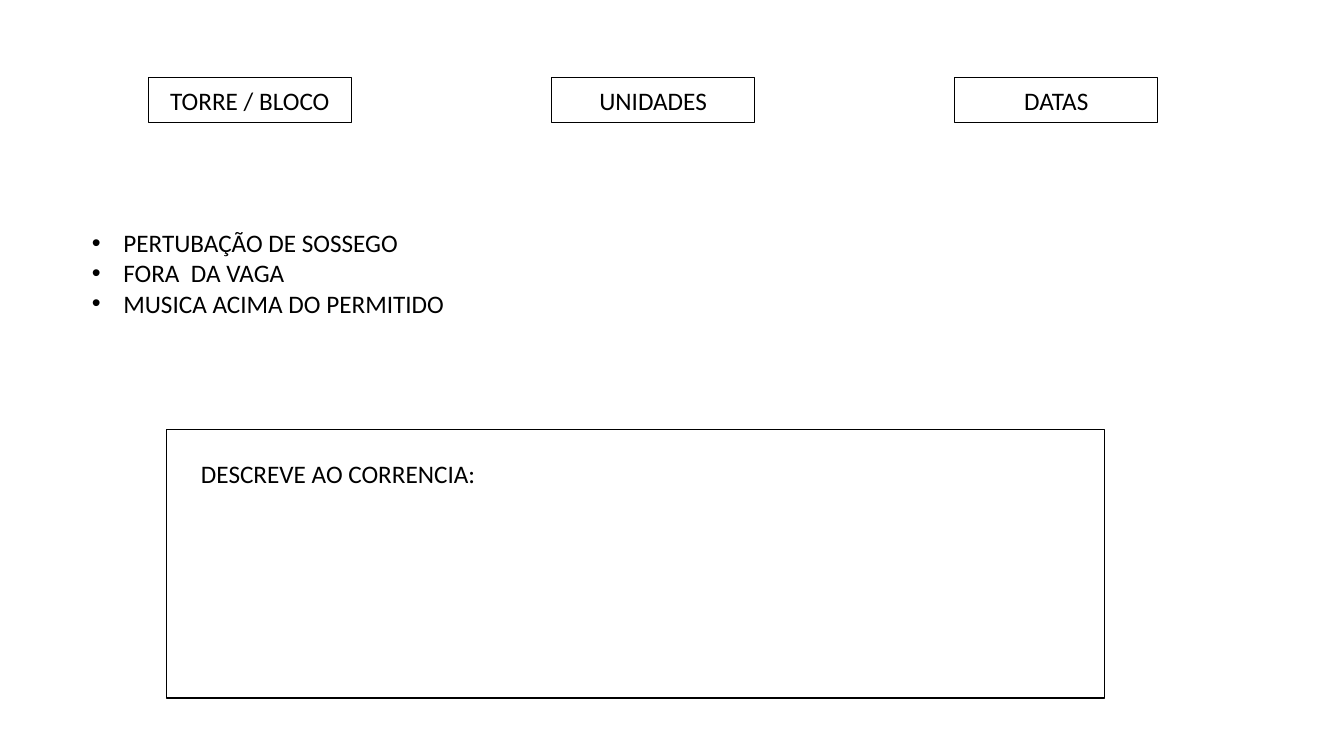
from dataclasses import dataclass

from lxml.etree import SubElement
from pptx import Presentation
from pptx.dml.color import RGBColor
from pptx.enum.shapes import MSO_SHAPE as SHAPE
from pptx.enum.text import MSO_ANCHOR as ANCHOR, MSO_AUTO_SIZE as AUTO, PP_ALIGN as ALIGN
from pptx.oxml.ns import qn
from pptx.util import Pt


@dataclass(frozen=True)
class Theme:
    font: str = "Calibri"
    size: float = 18
    ink: RGBColor = RGBColor(0, 0, 0)
    paper: RGBColor = RGBColor(255, 255, 255)
    line: float = 1
    indent: float = 22.5


class Form:
    def __init__(self, slide, theme):
        self.s = slide
        self.theme = theme

    def style(self, p):
        for r in p.runs:
            r.font.name = self.theme.font
            r.font.size = Pt(self.theme.size)
            r.font.color.rgb = self.theme.ink

    def box(self, x, y, w, h, text=""):
        sp = self.s.shapes.add_shape(SHAPE.RECTANGLE, Pt(x), Pt(y), Pt(w), Pt(h))
        sp.shadow.inherit = False
        sp.fill.solid()
        sp.fill.fore_color.rgb = self.theme.paper
        sp.line.color.rgb = self.theme.ink
        sp.line.width = Pt(self.theme.line)
        if text:
            tf = sp.text_frame
            tf.text = text
            tf.vertical_anchor = ANCHOR.MIDDLE
            p = tf.paragraphs[0]
            p.alignment = ALIGN.CENTER
            self.style(p)

    def text(self, x, y, w, h, lines, bullet=None):
        tf = self.s.shapes.add_textbox(Pt(x), Pt(y), Pt(w), Pt(h)).text_frame
        tf.word_wrap = True
        tf.auto_size = AUTO.SHAPE_TO_FIT_TEXT
        tf.text = "\n".join(lines)
        for p in tf.paragraphs:
            self.style(p)
            if bullet:
                self.bullet(p, bullet)

    def bullet(self, p, char):
        indent = Pt(self.theme.indent)
        pPr = p._p.get_or_add_pPr()
        pPr.set("marL", str(indent))
        pPr.set("indent", str(-indent))
        SubElement(pPr, qn("a:buFont"), typeface="Arial")
        SubElement(pPr, qn("a:buChar"), char=char)


def main():
    prs = Presentation()
    prs.slide_width, prs.slide_height = Pt(960), Pt(540)
    form = Form(prs.slides.add_slide(prs.slide_layouts[6]), Theme())

    for i, field in enumerate(["TORRE / BLOCO", "UNIDADES", "DATAS"]):
        form.box(106 + 288 * i, 55.5, 145, 32, field)

    complaints = ["PERTUBAÇÃO DE SOSSEGO", "FORA  DA VAGA", "MUSICA ACIMA DO PERMITIDO"]
    form.text(58.5, 159, 432, 72.5, complaints, bullet="•")

    form.box(119, 307, 670, 191.5)
    form.text(136.5, 323.5, 211, 29, ["DESCREVE AO CORRENCIA:"])

    prs.save("out.pptx")


if __name__ == "__main__":
    main()
